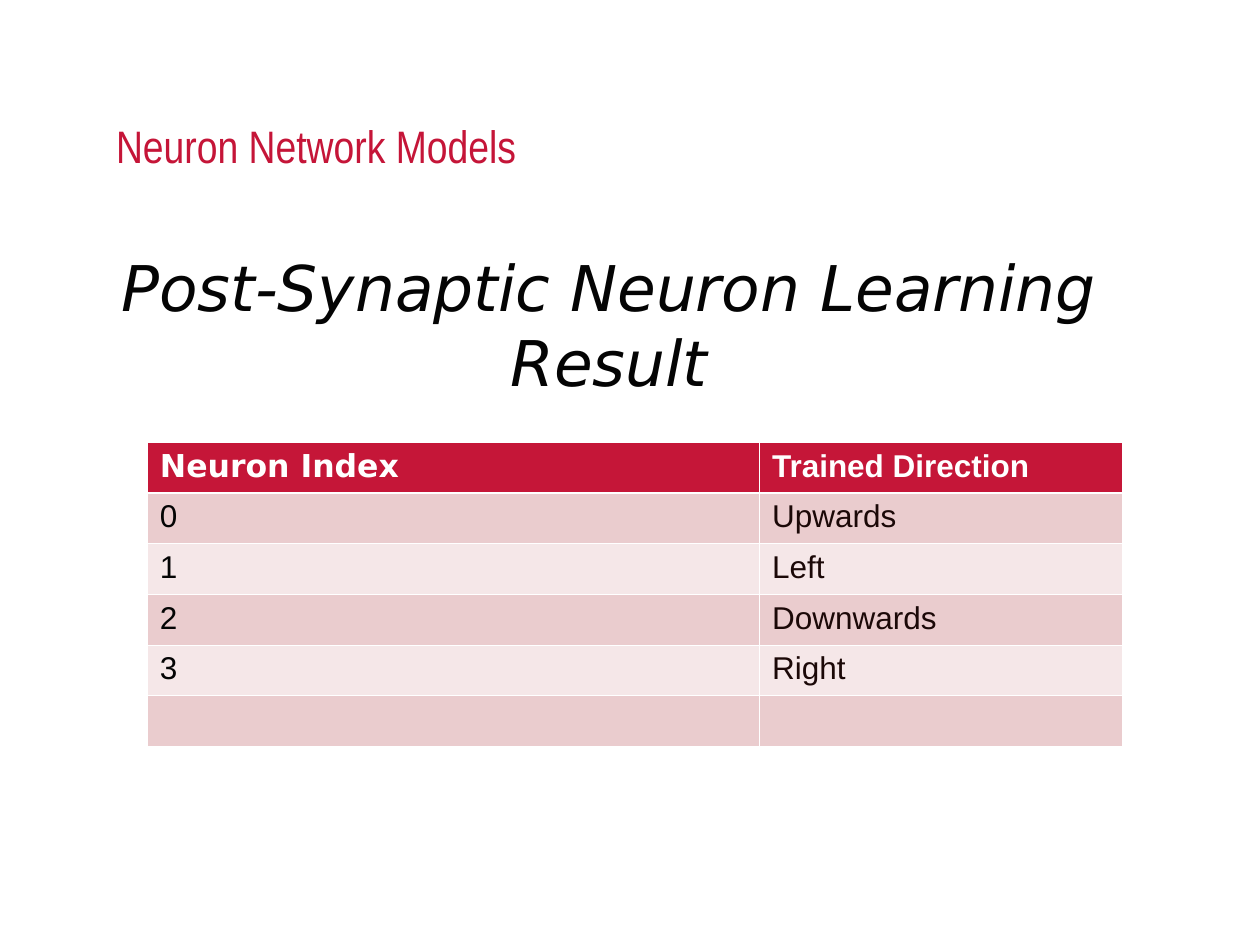
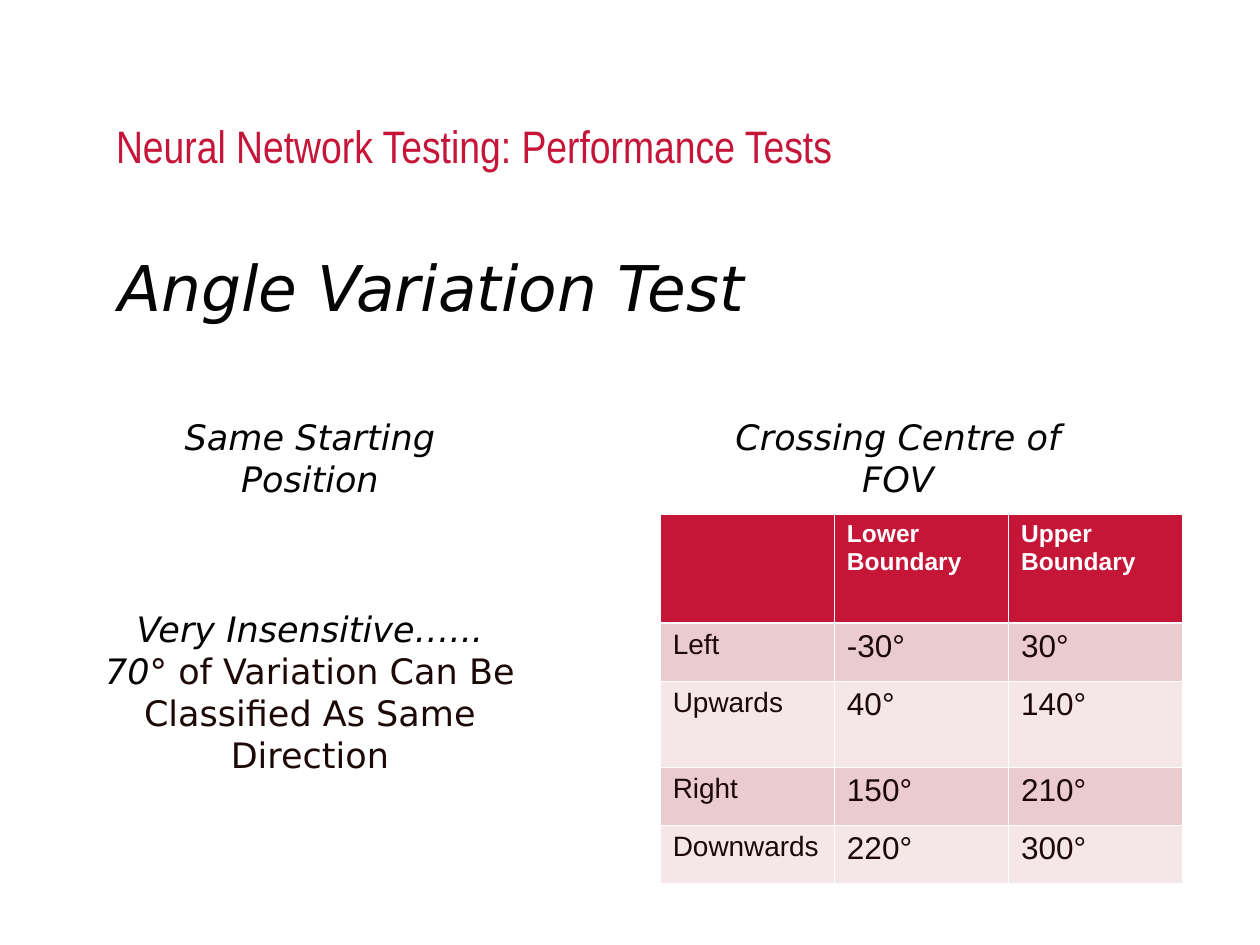
from lxml import etree
from pptx import Presentation
from pptx import util as u
from pptx.dml.color import RGBColor
from pptx.enum import text
from pptx.oxml import ns

# Shared colours and fonts
CRIMSON = "C51538"
HEADER = "C51638"
BANDS = ("EACCCE", "F5E7E8")
WHITE = "FFFFFF"
BLACK = "040404"
DARK = "1B0807"
SANS = "DejaVu Sans"
ARIAL = "Arial"
THIN, THICK = 0.45, 1.47


def colour(value):
    return RGBColor.from_string(value)


# Text
def add_span(para, words, size=18, font=ARIAL, ink=DARK, bold=False, italic=False):
    span = para.add_run()
    span.text = words
    span.font.size = u.Pt(size)
    span.font.name = font
    span.font.color.rgb = colour(ink)
    span.font.bold = bold
    span.font.italic = italic


def write(frame, lines, align=text.PP_ALIGN.LEFT, **style):
    """Each line is a string or a list of (words, style changes)."""
    for index, line in enumerate(lines):
        para = frame.add_paragraph() if index else frame.paragraphs[0]
        para.alignment = align
        spans = [(line, {})] if isinstance(line, str) else line
        for words, changes in spans:
            add_span(para, words, **{**style, **changes})


def add_box(page, left, top, width, height):
    box = page.shapes.add_textbox(u.Cm(left), u.Cm(top), u.Cm(width), u.Cm(height))
    box.text_frame.word_wrap = True
    return box.text_frame


def add_title(page, words):
    frame = add_box(page, 2.34, 1.7, 20.96, 1.78)
    frame.margin_left = frame.margin_right = frame.margin_top = frame.margin_bottom = 0
    frame.vertical_anchor = text.MSO_ANCHOR.BOTTOM
    write(frame, [words], size=26, font="Arial Narrow", ink=CRIMSON)


def add_statement(page, lines, left, top, width, height, size=20):
    frame = add_box(page, left, top, width, height)
    frame.auto_size = text.MSO_AUTO_SIZE.SHAPE_TO_FIT_TEXT
    write(frame, lines, align=text.PP_ALIGN.CENTER, size=size, font=SANS,
          ink=BLACK, italic=True)


# Tables
def set_borders(cell, top, bottom):
    properties = cell._tc.get_or_add_tcPr()
    for side, width in (("L", THIN), ("R", THIN), ("T", top), ("B", bottom)):
        line = etree.SubElement(properties, ns.qn(f"a:ln{side}"), w=str(u.Pt(width)))
        fill = etree.SubElement(line, ns.qn("a:solidFill"))
        etree.SubElement(fill, ns.qn("a:srgbClr"), val=WHITE)


def add_grid(page, left, top, widths, heights, rows, header_style, column_styles):
    """A header row over banded rows; each column has its own body style."""
    table = page.shapes.add_table(len(rows), len(widths), u.Cm(left), u.Cm(top),
                                  u.Cm(sum(widths)), u.Cm(sum(heights))).table
    table.horz_banding = False
    for column, width in zip(table.columns, widths):
        column.width = u.Cm(width)
    for r, (row, height) in enumerate(zip(rows, heights)):
        table.rows[r].height = u.Cm(height)
        for c, content in enumerate(row):
            cell = table.cell(r, c)
            set_borders(cell, top=THICK if r == 1 else THIN,
                        bottom=THICK if r == 0 else THIN)
            cell.fill.solid()
            cell.fill.fore_color.rgb = colour(BANDS[(r - 1) % 2] if r else HEADER)
            if content:
                lines = [content] if isinstance(content, str) else content
                style = column_styles[c] if r else header_style
                write(cell.text_frame, lines, **style)


# Slides
def build_learning_result(page):
    add_title(page, "Neuron Network Models")
    add_statement(page, ["Post-Synaptic Neuron Learning", "Result"],
                  0.89, 4.88, 22.78, 3.3, size=36)
    rows = [
        ([[("Neuron Index", {"font": SANS})]], "Trained Direction"),
        ("0", "Upwards"),
        ("1", "Left"),
        ("2", "Downwards"),
        ("3", "Right"),
        ("", ""),
    ]
    add_grid(page, 2.97, 8.92, [12.34, 7.32], [1.02] * len(rows), rows,
             {"ink": WHITE, "bold": True}, [{"ink": BLACK}, {}])


def build_angle_test(page):
    add_title(page, "Neural Network Testing: Performance Tests")
    add_statement(page, ["Angle Variation Test"], -2.69, 4.88, 22.78, 1.78, size=36)
    add_statement(page, ["Same Starting Position"], 2.44, 8.26, 7.62, 1.12)
    add_statement(page, ["Crossing Centre of FOV"], 14.27, 8.26, 7.67, 1.12)
    plain = {"ink": DARK, "italic": False}
    add_statement(page, [
        "Very Insensitive…...",
        [("70", {}), ("° of Variation Can Be", plain)],
        [("Classified As Same Direction", plain)],
    ], 1.32, 12.12, 9.86, 2.79)
    rows = [
        ("", ["Lower", "Boundary"], ["Upper", "Boundary"]),
        ("Left", "-30°", "30°"),
        ("Upwards", "40°", "140°"),
        ("Right", "150°", "210°"),
        ("Downwards", "220°", "300°"),
    ]
    add_grid(page, 13.31, 10.36, [3.51] * 3, [2.2, 1.17, 1.73, 1.17, 1.17], rows,
             {"size": 14, "ink": WHITE, "bold": True}, [{"size": 16}, {}, {}])


def main():
    deck = Presentation()
    deck.slide_width, deck.slide_height = u.Cm(25.4), u.Cm(19.05)
    for build in (build_learning_result, build_angle_test):
        build(deck.slides.add_slide(deck.slide_layouts[6]))
    deck.save("out.pptx")


if __name__ == "__main__":
    main()
